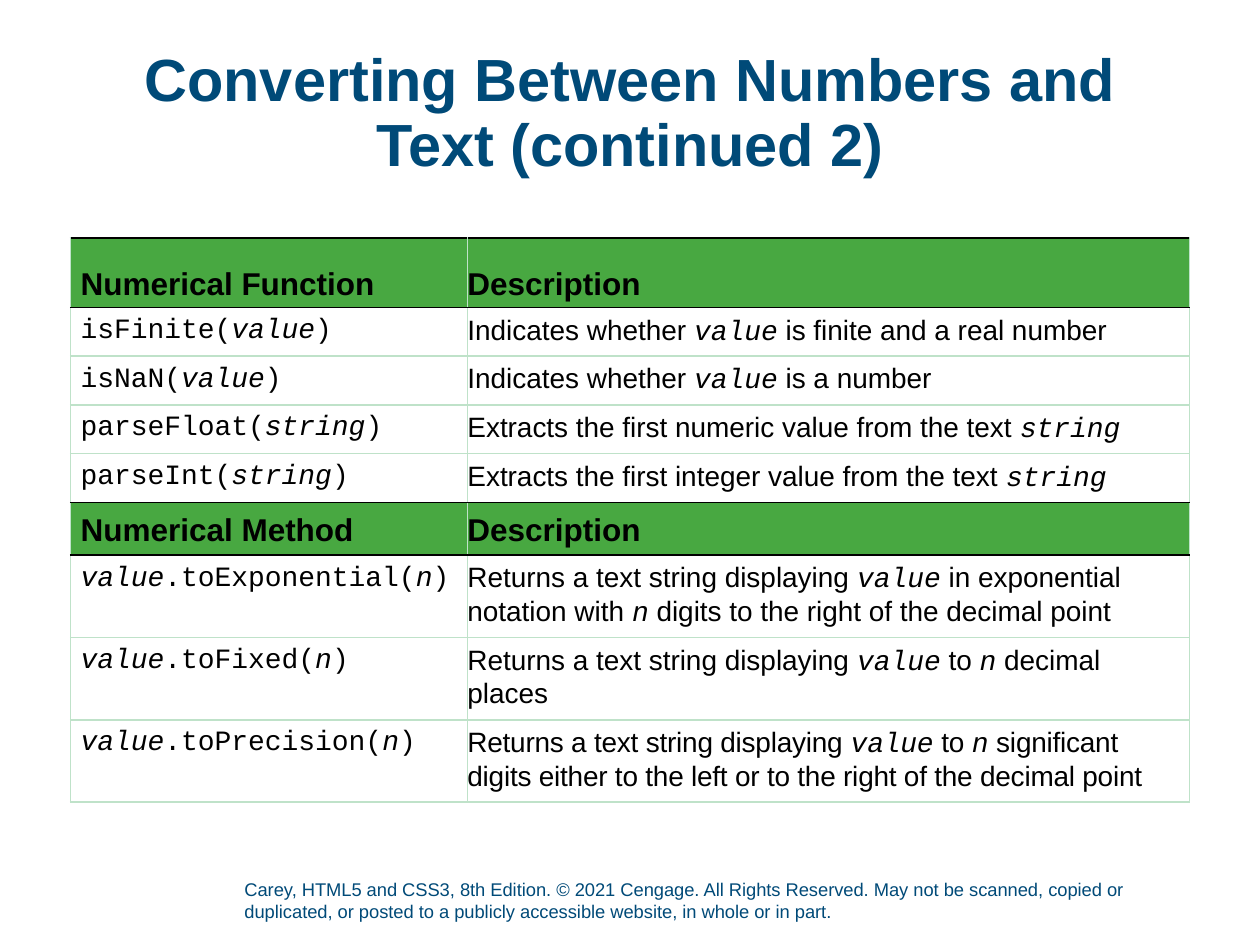
import pptx
import pptx.dml.color
import pptx.enum.text
import pptx.oxml
import pptx.oxml.ns
import pptx.util
from pptx.util import Inches

RGB = pptx.dml.color.RGBColor
ANCHOR = pptx.enum.text.MSO_ANCHOR
NAVY = RGB(0x00, 0x4A, 0x78)
GREEN = RGB(0x48, 0xA8, 0x41)
MINT = RGB(0xBF, 0xE2, 0xC9)
BLACK = RGB(0, 0, 0)
WHITE = RGB(0xFF, 0xFF, 0xFF)

# Row height, left cell, right cell; asterisks enclose italic arguments
HEADS = (0, 5)
ROWS = [
    (0.53, "Numerical Function", "Description"),
    (0.38, "isFinite(*value*)",
     "Indicates whether *value* is finite and a real number"),
    (0.38, "isNaN(*value*)", "Indicates whether *value* is a number"),
    (0.38, "parseFloat(*string*)",
     "Extracts the first numeric value from the text *string*"),
    (0.38, "parseInt(*string*)",
     "Extracts the first integer value from the text *string*"),
    (0.39, "Numerical Method", "Description"),
    (0.64, "*value*.toExponential(*n*)",
     "Returns a text string displaying *value* in exponential notation "
     "with *n* digits to the right of the decimal point"),
    (0.63, "*value*.toFixed(*n*)",
     "Returns a text string displaying *value* to *n* decimal places"),
    (0.62, "*value*.toPrecision(*n*)",
     "Returns a text string displaying *value* to *n* significant digits "
     "either to the left or to the right of the decimal point"),
]


def style(run, size, color, bold=False, face="Arial"):
    font = run.font
    font.name, font.size, font.bold = face, pptx.util.Pt(size), bold
    font.color.rgb = color


def border(cell, side, color):
    cell._tc.get_or_add_tcPr().append(pptx.oxml.parse_xml(
        f'<a:ln{side} {pptx.oxml.ns.nsdecls("a")} w="12700"><a:solidFill>'
        f'<a:srgbClr val="{color}"/></a:solidFill></a:ln{side}>'))


deck = pptx.Presentation()
deck.slide_width, deck.slide_height = Inches(10), Inches(7.5)
slide = deck.slides.add_slide(deck.slide_layouts[5])

# Copyright line
foot = slide.shapes.add_textbox(
    Inches(1.94), Inches(6.97), Inches(7.35), Inches(0.4))
frame = foot.text_frame
frame.word_wrap = True
frame.vertical_anchor = ANCHOR.BOTTOM
frame.margin_left = frame.margin_right = frame.margin_top = 0
frame.margin_bottom = Inches(0.05)
frame.text = ("Carey, HTML5 and CSS3, 8th Edition. © 2021 Cengage. All Rights "
              "Reserved. May not be scanned, copied or duplicated, or posted "
              "to a publicly accessible website, in whole or in part.")
style(frame.paragraphs[0].runs[0], 10.5, NAVY)

# Title
title = slide.shapes.title
title.left, title.top = Inches(0.69), Inches(0.4)
title.width, title.height = Inches(8.62), Inches(0.74)
frame = title.text_frame
frame.text = "Converting Between Numbers and Text (continued 2)"
frame.auto_size = pptx.enum.text.MSO_AUTO_SIZE.NONE
frame.vertical_anchor = ANCHOR.TOP
frame.margin_left = frame.margin_right = 0
frame.margin_top = frame.margin_bottom = 0
para = frame.paragraphs[0]
para.alignment = pptx.enum.text.PP_ALIGN.CENTER
para.line_spacing = 0.9
style(para.runs[0], 34, NAVY, True)

# Table of functions and methods
table = slide.shapes.add_table(
    len(ROWS), 2, Inches(0.56), Inches(1.89), Inches(8.88),
    Inches(sum(row[0] for row in ROWS))).table
table.columns[0].width = Inches(3.15)
table.columns[1].width = Inches(5.73)

for r, (height, *texts) in enumerate(ROWS):
    table.rows[r].height = Inches(height)
    head = r in HEADS
    for c, text in enumerate(texts):
        cell = table.cell(r, c)
        cell.margin_left = Inches(0 if c else 0.08)
        cell.margin_right = Inches(0.08)
        cell.margin_top = Inches(0.06 if r else 0.21)
        cell.margin_bottom = Inches(0.06 if r else 0.04)
        cell.vertical_anchor = ANCHOR.BOTTOM if head else ANCHOR.TOP

        # Black rules above and below each heading row
        border(cell, "L", MINT)
        border(cell, "R", MINT)
        border(cell, "T", BLACK if head or r - 1 in HEADS else MINT)
        border(cell, "B", BLACK if head or r + 1 in HEADS else MINT)
        cell.fill.solid()
        cell.fill.fore_color.rgb = GREEN if head else WHITE

        # Code in Courier New, arguments in italics
        para = cell.text_frame.paragraphs[0]
        for i, part in enumerate(text.split("*")):
            if not part:
                continue
            run = para.add_run()
            run.text = part
            code = not head and (c == 0 or i % 2 == 1)
            style(run, 18 if head else 16, BLACK, head,
                  "Courier New" if code else "Arial")
            run.font.italic = i % 2 == 1
            if c == 1 and r == len(ROWS) - 1:
                run.font._element.set("spc", "-10")

deck.save("out.pptx")
